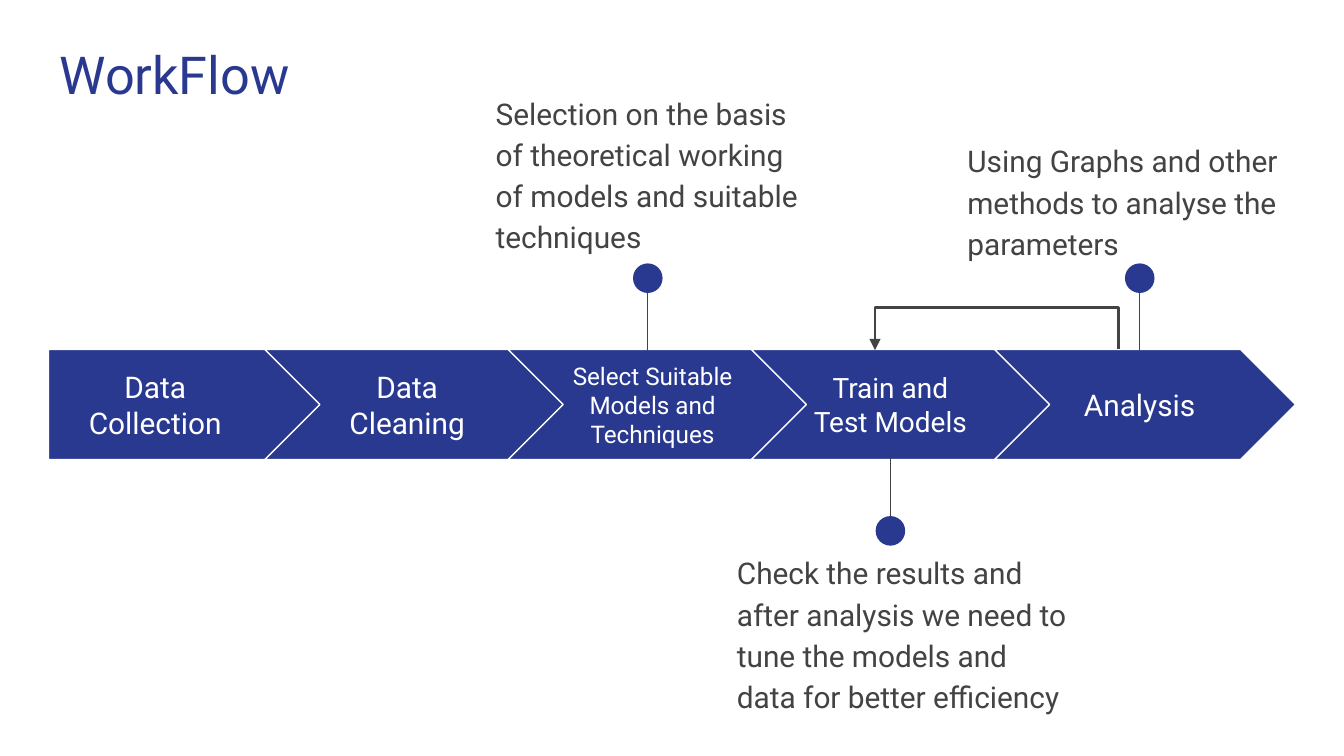
from dataclasses import dataclass, field

from lxml import etree
from pptx import Presentation
from pptx.dml.color import RGBColor
from pptx.enum.shapes import MSO_CONNECTOR, MSO_SHAPE
from pptx.enum.text import MSO_ANCHOR, PP_ALIGN
from pptx.oxml.ns import qn
from pptx.slide import Slide
from pptx.util import Inches, Pt

PENTAGON, CHEVRON, OVAL = MSO_SHAPE.PENTAGON, MSO_SHAPE.CHEVRON, MSO_SHAPE.OVAL
STRAIGHT, ELBOW = MSO_CONNECTOR.STRAIGHT, MSO_CONNECTOR.ELBOW
TOP, MIDDLE = MSO_ANCHOR.TOP, MSO_ANCHOR.MIDDLE
LEFT, CENTER = PP_ALIGN.LEFT, PP_ALIGN.CENTER

COLORS = {"blue": "2A3990", "gray": "434343", "white": "FFFFFF"}
WIDTH, CELL = 10, 0.1
HEIGHT = WIDTH * 9 / 16
BAND_TOP, BAND_HEIGHT, STEP = 26, 8.2, 18.1
DOT_SIZE = 2.2

STEPS = [
    ("Data Collection", 3.6, 15.9, 16),
    ("Data Cleaning", 23.1, 14.4, 16),
    ("Select Suitable Models and Techniques", 41.35, 14.4, 13),
    ("Train and Test Models", 59.05, 14.4, 15),
    ("Analysis", 77.6, 14.4, 16),
]
NOTES = [
    ("Selection on the basis of theoretical working of models and suitable techniques",
     35.9, 5.7, 24.5, 48.2, True),
    ("Check the results and after analysis we need to tune the models and "
     "data for better efficiency", 53.85, 39.9, 26.6, 66.25, False),
    ("Using Graphs and other methods to analyse the parameters",
     71, 9.25, 25.4, 84.8, True),
]


def grid(cells):
    return Inches(cells * CELL)


def color(name):
    return RGBColor.from_string(COLORS[name])


@dataclass
class WorkflowSlide:
    """Draws workflow elements on one slide, measured in grid cells."""

    slide: Slide
    font: str = "Roboto"
    inset: int = field(default_factory=lambda: Inches(0.1))

    def text(self, words, left, top, width, height, size, ink,
             anchor=TOP, align=LEFT, spacing=None):
        box = self.slide.shapes.add_textbox(*map(grid, (left, top, width, height)))
        frame = box.text_frame
        frame.word_wrap = True
        frame.vertical_anchor = anchor
        frame.margin_left = frame.margin_right = self.inset
        frame.margin_top = frame.margin_bottom = self.inset
        paragraph = frame.paragraphs[0]
        paragraph.text = words
        paragraph.alignment = align
        if spacing:
            paragraph.line_spacing = spacing
        paragraph.font.name = self.font
        paragraph.font.size = Pt(size)
        paragraph.font.color.rgb = color(ink)

    def shape(self, kind, left, top, width, height, outline=None):
        shape = self.slide.shapes.add_shape(kind, *map(grid, (left, top, width, height)))
        shape.shadow.inherit = False
        shape.fill.solid()
        shape.fill.fore_color.rgb = color("blue")
        if outline:
            shape.line.color.rgb = color(outline)
            shape.line.width = Pt(0.75)
        else:
            shape.line.fill.background()
        return shape

    def line(self, kind, start, end, weight):
        connector = self.slide.shapes.add_connector(kind, *map(grid, start + end))
        connector.line.color.rgb = color("gray")
        connector.line.width = Pt(weight)
        etree.SubElement(connector._element.spPr, qn("a:effectLst"))
        return connector

    def step(self, index, words, left, width, size):
        if index == 0:
            arrow = self.shape(PENTAGON, 3.6, BAND_TOP, 20.5, BAND_HEIGHT, "white")
        else:
            arrow = self.shape(CHEVRON, 1.6 + STEP * index, BAND_TOP, 22.4, BAND_HEIGHT, "white")
        arrow.adjustments[0] = 0.5
        self.text(words, left, 27.55, width, 5.1, size, "white", MIDDLE, CENTER)

    def note(self, words, left, top, width, pin, above):
        edge, far = (26.1, 20) if above else (34.1, 40.2)
        dot_top = 19.6 if above else 38.4
        self.line(STRAIGHT, (pin, far), (pin, edge), 0.75)
        self.shape(OVAL, pin - DOT_SIZE / 2, dot_top, DOT_SIZE, DOT_SIZE)
        self.text(words, left, top, width, 9.9, 16, "gray", spacing=1.15)

    def feedback_arrow(self, start, end, top, rise):
        center, span, thickness = (start + end) / 2, start - end, 0.1
        connector = self.line(ELBOW, (center - thickness / 2, top - span / 2),
                              (center + thickness / 2, top + span / 2), 1.5)
        properties = connector._element.spPr
        properties.find(qn("a:xfrm")).set("rot", "5400000")
        guides = properties.find(qn("a:prstGeom")).get_or_add_avLst()
        bend = round(-rise / thickness * 100000)
        etree.SubElement(guides, qn("a:gd"), name="adj1", fmla=f"val {bend}")
        outline = properties.find(qn("a:ln"))
        etree.SubElement(outline, qn("a:tailEnd"), type="triangle")


def main():
    presentation = Presentation()
    presentation.slide_width = Inches(WIDTH)
    presentation.slide_height = Inches(HEIGHT)
    workflow = WorkflowSlide(presentation.slides.add_slide(presentation.slide_layouts[6]))
    for index, step in enumerate(STEPS):
        workflow.step(index, *step)
    for note in NOTES:
        workflow.note(*note)
    workflow.text("WorkFlow", 3.45, 2.15, 93.2, 6.6, 28, "blue")
    workflow.feedback_arrow(start=83.2, end=65.1, top=BAND_TOP, rise=3.1)
    presentation.save("out.pptx")


if __name__ == "__main__":
    main()
